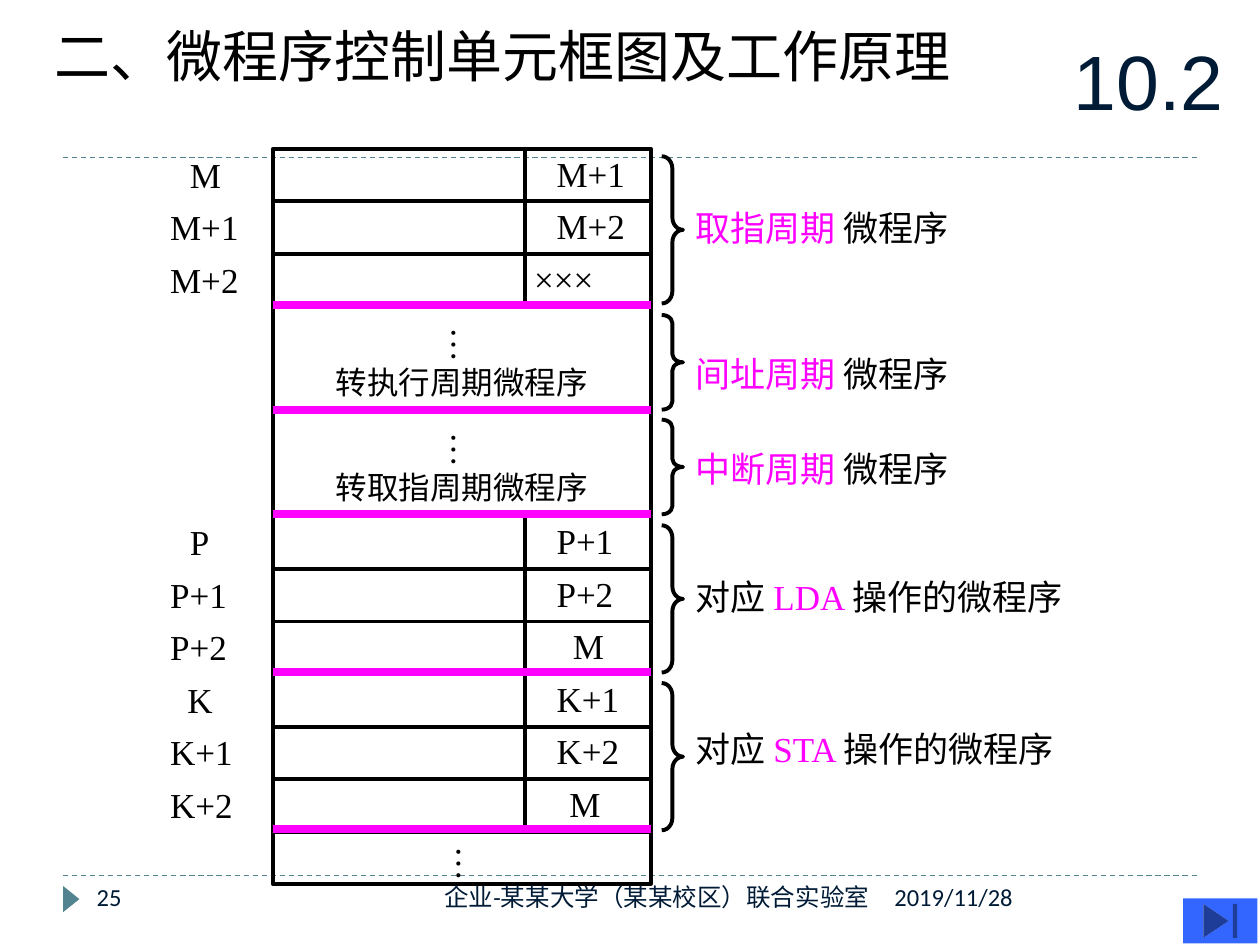
from dataclasses import dataclass

from lxml import etree
from pptx import Presentation
from pptx import util as u
from pptx.dml import color
from pptx.enum import dml, shapes, text
from pptx.oxml import ns

Cm, Pt, RGB = u.Cm, u.Pt, color.RGBColor.from_string
ALIGN, KIND = text.PP_ALIGN, shapes.MSO_SHAPE


@dataclass(frozen=True)
class Theme:
    ink: str = "000000"
    accent: str = "FF00FF"
    navy: str = "001B36"
    rule: str = "51848E"
    button: str = "3366FF"
    serif: str = "Times New Roman"
    sans: str = "Arial"
    footer_font: str = "Calibri"
    title: int = 32
    section: int = 44
    body: int = 20
    note: int = 18
    footer: int = 14
    border: float = 2.25
    divider: float = 4.5


T = Theme()
prs = Presentation()
prs.slide_width, prs.slide_height = Cm(25.4), Cm(19.05)
s = prs.slides.add_slide(prs.slide_layouts[5])


def put_text(x, y, w, h, runs, size=T.body, font=T.serif, align=ALIGN.LEFT,
             anchor=text.MSO_ANCHOR.TOP, sp=None):
    """Write (text, colour) runs in sp, or in a new text box."""
    sp = sp or s.shapes.add_textbox(0, 0, 0, 0)
    sp.left, sp.top, sp.width, sp.height = Cm(x), Cm(y), Cm(w), Cm(h)
    tf = sp.text_frame
    tf.word_wrap, tf.vertical_anchor = True, anchor
    tf.auto_size = text.MSO_AUTO_SIZE.NONE
    p = tf.paragraphs[0]
    p.alignment = align
    for words, rgb in runs:
        r = p.add_run()
        r.text = words
        r.font.size, r.font.name = Pt(size), font
        r.font.color.rgb = RGB(rgb)
    return tf


def add_line(x1, y1, x2, y2, rgb=T.ink, width=T.border):
    cn = s.shapes.add_connector(shapes.MSO_CONNECTOR.STRAIGHT, Cm(x1), Cm(y1), Cm(x2), Cm(y2))
    cn.line.color.rgb, cn.line.width = RGB(rgb), Pt(width)
    etree.SubElement(cn.element.spPr, ns.qn("a:effectLst"))
    return cn


# Headings, rules and page marks
put_text(0.84, 0.3, 20.32, 1.6, [("二、微程序控制单元框图及工作原理", T.ink)], T.title, sp=s.shapes.title)
put_text(21.39, 0.43, 4.01, 2.34, [("10.2", T.navy)], T.section, T.sans, anchor=text.MSO_ANCHOR.MIDDLE)
for y in (3.18, 17.65):
    add_line(1.27, y, 24.13, y, T.rule, 0.75).line.dash_style = dml.MSO_LINE.DASH

for kind, x, y, w, h, turn, rgb in (
    (KIND.ISOSCELES_TRIANGLE, 1.17, 17.96, 0.53, 0.33, 90, T.rule),
    (KIND.ACTION_BUTTON_END, 23.85, 18.11, 1.5, 0.91, 0, T.button),
):
    sp = s.shapes.add_shape(kind, Cm(x), Cm(y), Cm(w), Cm(h))
    sp.rotation, sp.shadow.inherit = turn, False
    sp.fill.solid()
    sp.fill.fore_color.rgb = RGB(rgb)
    sp.line.fill.background()

# Control store: three blocks of three addressed words, then one open word
left, split, right, row = 5.5, 10.58, 13.12, 1.06
blocks = [
    (3.0, [("M", 3.58, "M+1", 10.97), ("M+1", 3.18, "M+2", 10.97), ("M+2", 3.18, "×××", 10.52)]),
    (10.41, [("P", 3.58, "P+1", 10.97), ("P+1", 3.18, "P+2", 10.97), ("P+2", 3.18, "M", 11.3)]),
    (13.59, [("K", 3.53, "K+1", 10.97), ("K+1", 3.18, "K+2", 10.97), ("K+2", 3.18, "M", 11.23)]),
]
row_tops = [top + i * row for top, words in blocks for i in range(len(words))] + [16.76]
for y in row_tops:
    sp = s.shapes.add_shape(KIND.RECTANGLE, Cm(left), Cm(y), Cm(right - left), Cm(row))
    sp.shadow.inherit = False
    sp.fill.background()
    sp.line.color.rgb, sp.line.width = RGB(T.ink), Pt(T.border)

for x, y1, y2 in ((left, 6.17, 10.39), (right, 6.17, 10.39), (split, 2.97, 6.15), (split, 10.36, 16.76)):
    add_line(x, y1, x, y2)
add_line(left, 8.3, right, 8.3)
for y in (6.15, 8.26, 10.36, 13.54, 16.71):
    add_line(left, y, right, y, T.accent, T.divider)

for top, words in blocks:
    for i, (address, address_x, following, following_x) in enumerate(words):
        y = top + i * row
        put_text(address_x, y - 0.04, 2, 1.1, [(address, T.ink)])
        put_text(following_x, y - 0.06, 2.2, 1.1, [(following, T.ink)])

for y, words in ((7.2, "转执行周期微程序"), (9.31, "转取指周期微程序")):
    put_text(left, y, right - left, 1.02, [(words, T.ink)], T.note, align=ALIGN.CENTER)
for x, y in ((8.59, 6.35), (8.59, 8.46), (8.69, 16.81)):
    tf = put_text(x, y, 1.35, 0.97, [("…", T.ink)])
    tf.word_wrap = False
    tf._txBody.bodyPr.set("vert", "eaVert")

# Braces naming each microprogram
for y, h, bend, label_y, label_w, runs in (
    (3.15, 2.97, 0.58, 4.04, 6, [("取指周期 ", T.accent), ("微程序", T.ink)]),
    (6.35, 1.91, 0.38, 6.99, 6, [("间址周期 ", T.accent), ("微程序", T.ink)]),
    (8.46, 1.91, 0.38, 8.89, 6, [("中断周期 ", T.accent), ("微程序", T.ink)]),
    (10.59, 2.97, 0.58, 11.48, 8, [("对应 ", T.ink), ("LDA ", T.accent), ("操作的微程序", T.ink)]),
    (13.77, 2.97, 0.58, 14.55, 7.92, [("对应 ", T.ink), ("STA ", T.accent), ("操作的微程序", T.ink)]),
):
    sp = s.shapes.add_shape(KIND.RIGHT_BRACE, Cm(13.34), Cm(y), Cm(0.43), Cm(h))
    sp.adjustments[0] = bend
    sp.shadow.inherit = False
    sp.fill.background()
    sp.line.color.rgb, sp.line.width = RGB(T.ink), Pt(T.border)
    put_text(13.77, label_y, label_w, 1.1, runs)

# Footer
for x, w, words, align in (
    (1.7, 5.5, "25", ALIGN.LEFT),
    (8.05, 9.73, "企业-某某大学（某某校区）联合实验室", ALIGN.RIGHT),
    (17.78, 6.35, "2019/11/28", ALIGN.LEFT),
):
    put_text(x, 17.65, w, 1.02, [(words, T.navy)], T.footer, T.footer_font, align)

prs.save("out.pptx")
